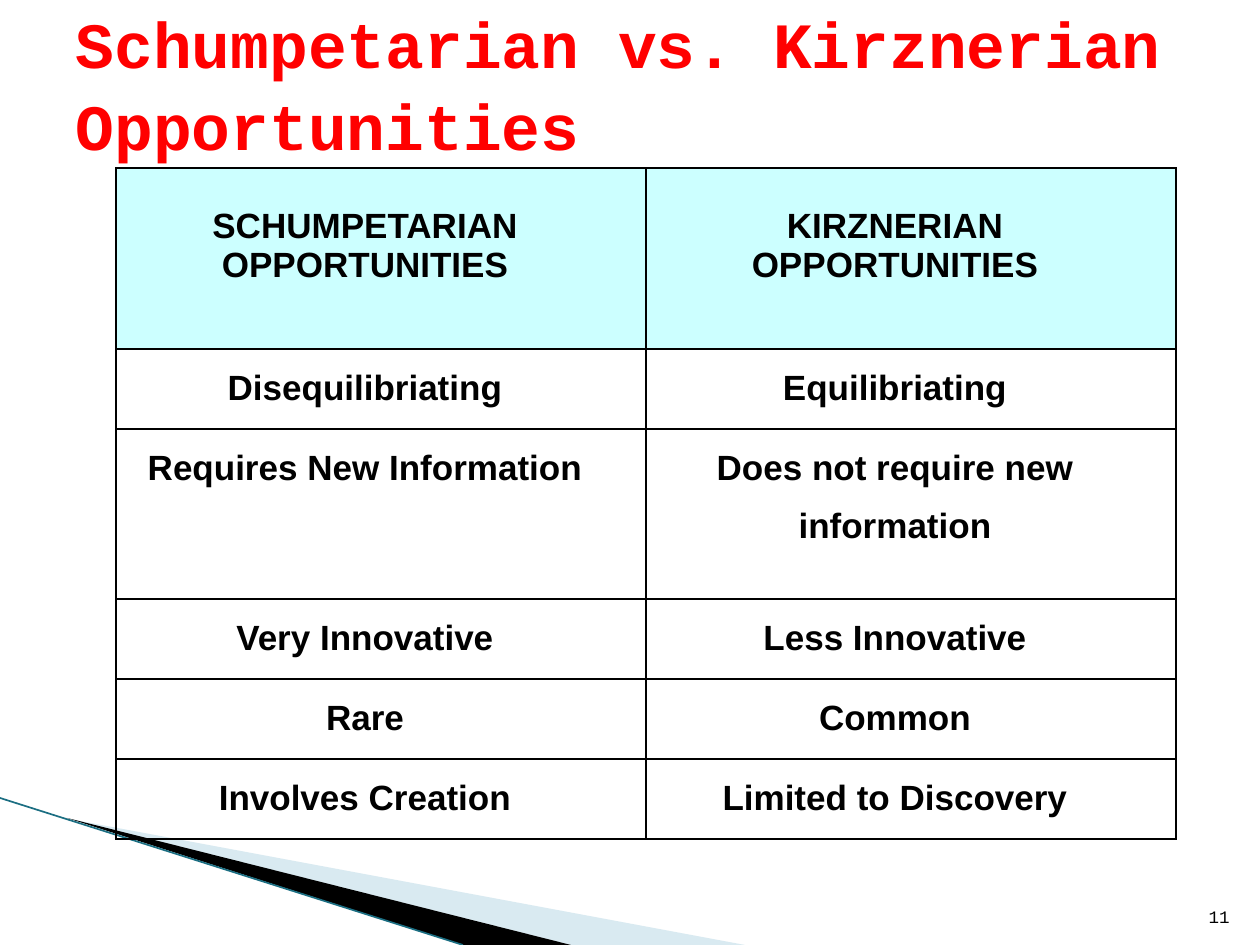
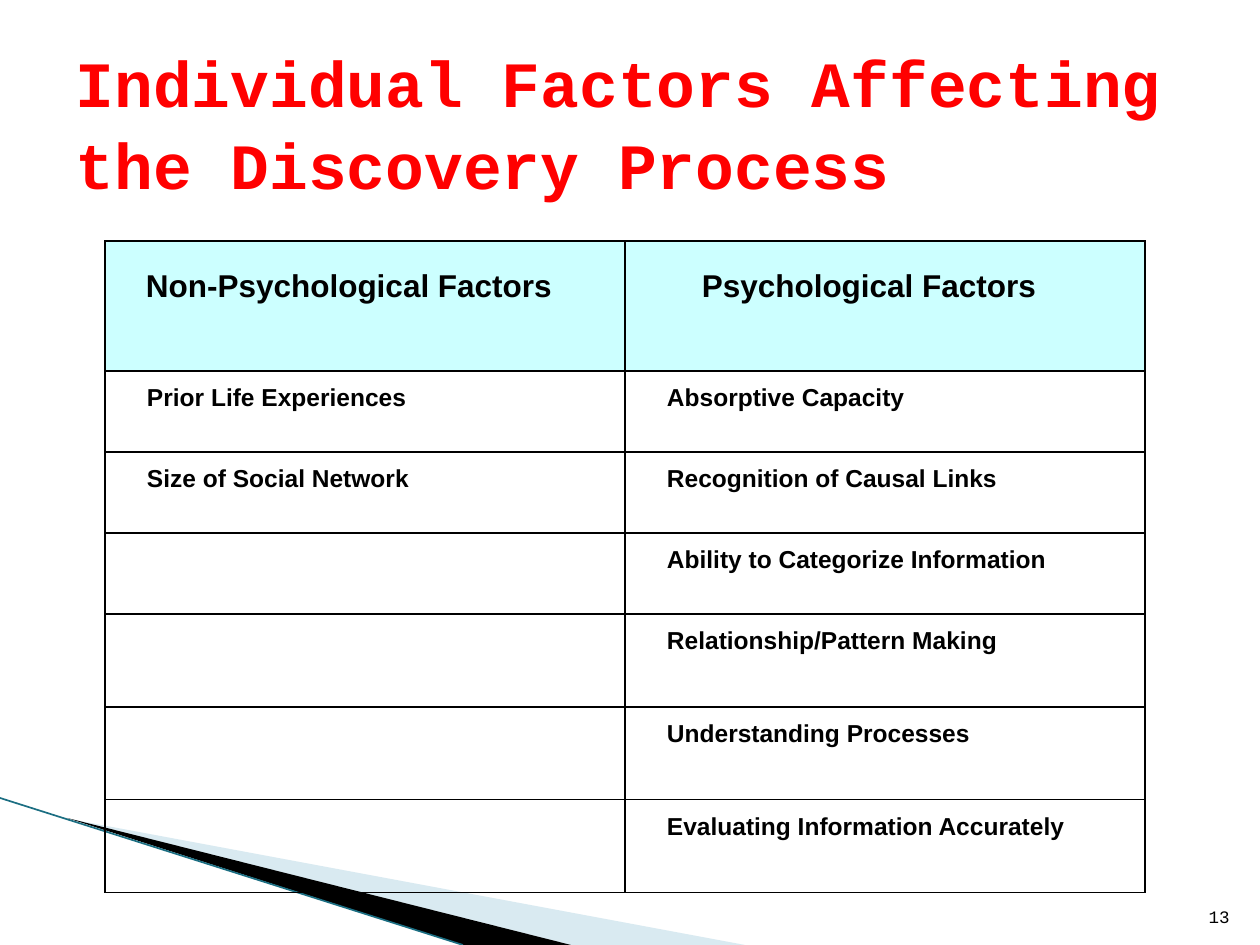
import pptx
import pptx.util
import pptx.dml.color
import pptx.enum.shapes
import pptx.enum.text
import pptx.oxml
import pptx.oxml.ns

RGB = pptx.dml.color.RGBColor
Pt = pptx.util.Pt
ALIGN = pptx.enum.text.PP_ALIGN
ANCHOR = pptx.enum.text.MSO_ANCHOR

RED = RGB(0xFF, 0x00, 0x00)
BLACK = RGB(0x00, 0x00, 0x00)
AQUA = RGB(0xCC, 0xFF, 0xFF)
MIST = RGB(0xA0, 0xCB, 0xDC)
TEAL = RGB(0x1B, 0x6E, 0x82)
SANS, MONO = "Arial", "Courier New"
WIDE, HIGH = 1260, 945


def px(n):
    return pptx.util.Emu(round(n * 914400 / 126))


def node(parent, tag, **attrs):
    child = pptx.oxml.parse_xml(f"<a:{tag} {pptx.oxml.ns.nsdecls('a')}/>")
    for key, value in attrs.items():
        child.set(key, str(value))
    parent.append(child)
    return child


class Deck:
    def __init__(self):
        self.prs = pptx.Presentation()
        self.prs.slide_width, self.prs.slide_height = px(WIDE), px(HIGH)
        self.slide = None

    def page(self, number):
        """Start a slide with the corner bands and its number."""
        self.slide = self.prs.slides.add_slide(self.prs.slide_layouts[5])
        self.band([(69, 819), (745, HIGH), (571, HIGH)], MIST, 40)
        self.band([(67, 818), (571, HIGH), (463, HIGH)], BLACK)
        self.line((0, 798), (463, HIGH))
        self.number(number)

    def band(self, points, color, alpha=100):
        build = self.slide.shapes.build_freeform(*points[0], scale=px(1))
        build.add_line_segments(points[1:], close=True)
        shape = build.convert_to_shape()
        shape.shadow.inherit = False
        shape.fill.solid()
        shape.fill.fore_color.rgb = color
        shape.line.fill.background()
        if alpha < 100:
            tint = shape.fill._xPr.find(".//" + pptx.oxml.ns.qn("a:srgbClr"))
            node(tint, "alpha", val=alpha * 1000)

    def line(self, start, end):
        kind = pptx.enum.shapes.MSO_CONNECTOR.STRAIGHT
        edge = self.slide.shapes.add_connector(kind, *map(px, start + end))
        edge.line.color.rgb = TEAL
        edge.line.width = Pt(0.95)
        node(edge._element.spPr, "effectLst")

    def font(self, para, name, size, color=BLACK, bold=True):
        font = para.font
        font.name, font.size, font.bold = name, Pt(size), bold
        font.color.rgb = color

    def number(self, value):
        box = self.slide.shapes.add_textbox(px(1192), px(883), px(50), px(50))
        frame = box.text_frame
        frame.word_wrap = True
        frame.vertical_anchor = ANCHOR.BOTTOM
        para = frame.paragraphs[0]
        para.text = str(value)
        para.alignment = ALIGN.RIGHT
        self.font(para, MONO, 10, bold=False)

    def title(self, text, top):
        shape = self.slide.shapes.title
        shape.left, shape.top = px(63), px(top)
        shape.width, shape.height = px(1134), px(158)
        frame = shape.text_frame
        frame.text = text
        frame.word_wrap = True
        frame.auto_size = pptx.enum.text.MSO_AUTO_SIZE.NONE
        frame.vertical_anchor = ANCHOR.MIDDLE
        frame.margin_top = frame.margin_bottom = 0
        para = frame.paragraphs[0]
        para.alignment = ALIGN.LEFT
        para.line_spacing = 1.07
        self.font(para, MONO, 36.9, RED)

    def cell(self, cell, text, size, align, left, right, top, spacing):
        cell.margin_left, cell.margin_right = px(left), px(right)
        cell.margin_top, cell.margin_bottom = px(top), 0
        cell.text = text
        para = cell.text_frame.paragraphs[0]
        para.alignment = align
        para.line_spacing = spacing
        self.font(para, SANS, size)

    def frame(self, cell):
        """Draw thin black borders on all four sides."""
        props = cell._tc.get_or_add_tcPr()
        for side in "LRTB":
            edge = node(props, "ln" + side, w=Pt(1))
            node(node(edge, "solidFill"), "srgbClr", val=BLACK)

    def table(self, left, top, width, heights, rows, head, body):
        """Draw a table; head and body hold the cell settings."""
        cols = len(rows[0])
        grid = self.slide.shapes.add_table(
            len(rows), cols, px(left), px(top),
            px(width * cols), px(sum(heights))).table
        grid.first_row = grid.horz_banding = False
        for col in grid.columns:
            col.width = px(width)
        for i, (height, texts) in enumerate(zip(heights, rows)):
            grid.rows[i].height = px(height)
            for j, text in enumerate(texts):
                cell = grid.cell(i, j)
                self.cell(cell, text, **(body if i else head))
                self.frame(cell)
                if i:
                    cell.fill.background()
                else:
                    cell.fill.solid()
                    cell.fill.fore_color.rgb = AQUA


def main():
    deck = Deck()
    mid = dict(align=ALIGN.CENTER, left=9, right=41)

    deck.page(11)
    deck.title("Schumpetarian vs. Kirznerian Opportunities", 2)
    deck.table(
        116, 168, 530, [181, 80, 170, 80, 80, 80],
        [("SCHUMPETARIAN OPPORTUNITIES", "KIRZNERIAN OPPORTUNITIES"),
         ("Disequilibriating", "Equilibriating"),
         ("Requires New Information", "Does not require new information"),
         ("Very Innovative", "Less Innovative"),
         ("Rare", "Common"),
         ("Involves Creation", "Limited to Discovery")],
        head=dict(mid, size=20, top=39, spacing=1),
        body=dict(mid, size=20, top=0, spacing=1.5))

    deck.page(13)
    deck.title("Individual Factors Affecting the Discovery Process", 41)
    deck.table(
        105, 241, 520, [130] + [81] * 3 + [93] * 3,
        [("Non-Psychological Factors", "Psychological Factors"),
         ("Prior Life Experiences", "Absorptive Capacity"),
         ("Size of Social Network", "Recognition of Causal Links"),
         ("", "Ability to Categorize Information"),
         ("", "Relationship/Pattern Making"),
         ("", "Understanding Processes"),
         ("", "Evaluating Information Accurately")],
        head=dict(mid, size=18, top=28, spacing=1),
        body=dict(align=ALIGN.LEFT, left=42, right=9,
                  size=14, top=0, spacing=1.5))

    deck.prs.save("out.pptx")


if __name__ == "__main__":
    main()
